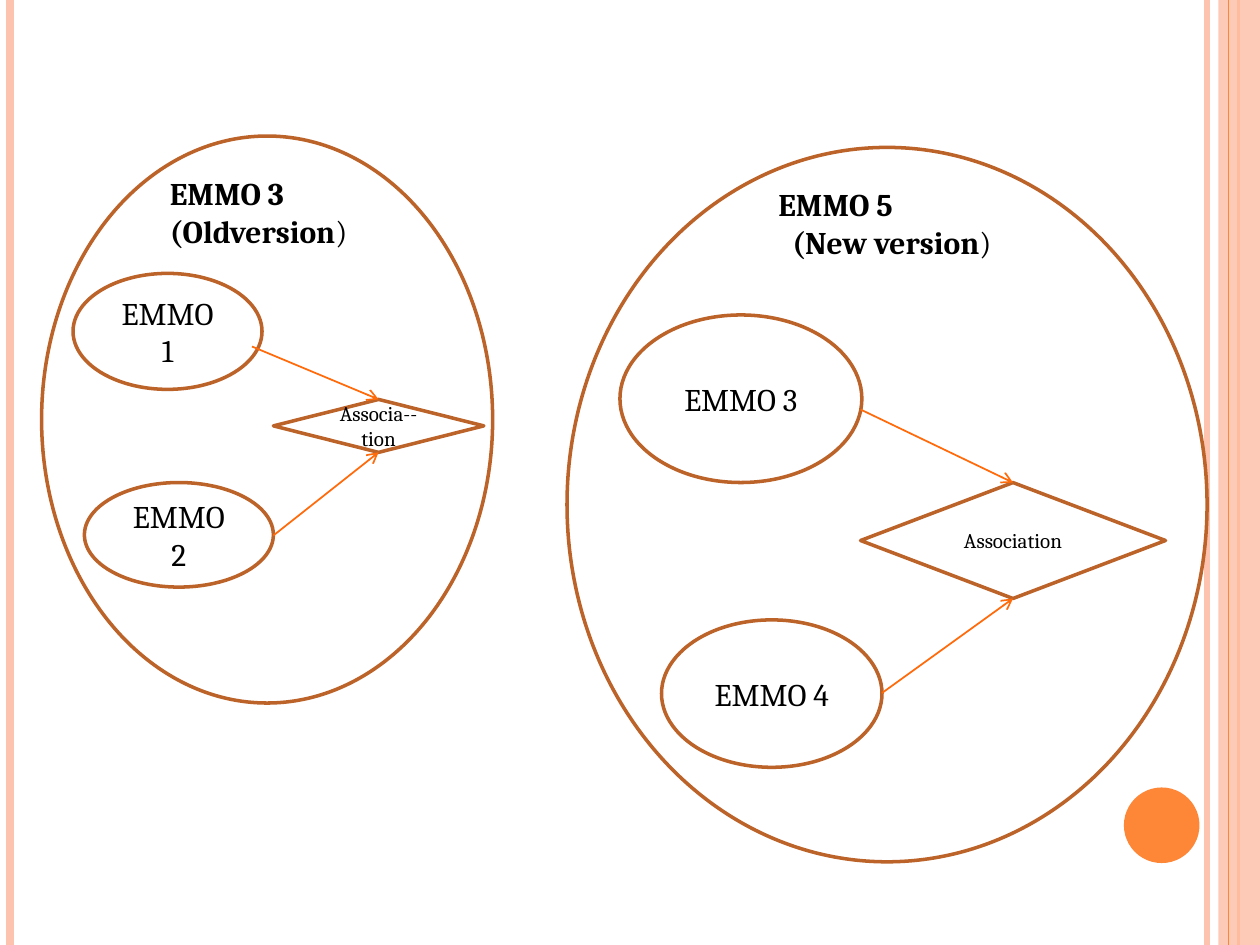
from lxml.etree import SubElement
from pptx import Presentation
from pptx.dml.color import RGBColor
from pptx.enum.shapes import MSO_CONNECTOR, MSO_SHAPE
from pptx.enum.text import MSO_ANCHOR, MSO_AUTO_SIZE, PP_ALIGN
from pptx.oxml.ns import qn
from pptx.util import Inches, Pt

FONT = "Cambria"
WHITE, BLACK = "FFFFFF", "000000"
PEACH, ORANGE, BROWN, ARROW = "FEC3AE", "FE8637", "BC6329", "FF6B0A"
TOP, BOTTOM = 0, 2  # connection sites of a diamond


def paint(color_format, color):
    color_format.rgb = RGBColor.from_string(color)


def set_alpha(fill_parent, percent):
    color = next(fill_parent.iter(qn("a:srgbClr")))
    SubElement(color, qn("a:alpha")).set("val", str(percent * 1000))


def add_figure(slide, kind, left, top, width, height, fill, outline=None):
    shape = slide.shapes.add_shape(
        kind, Inches(left), Inches(top), Inches(width), Inches(height))
    shape.shadow.inherit = False
    shape.fill.solid()
    paint(shape.fill.fore_color, fill)
    if outline:
        paint(shape.line.color, outline)
        shape.line.width = Pt(2)
    else:
        shape.line.fill.background()
    return shape


def add_line(slide, x1, y1, x2, y2, color, width):
    line = slide.shapes.add_connector(
        MSO_CONNECTOR.STRAIGHT, Inches(x1), Inches(y1), Inches(x2), Inches(y2))
    paint(line.line.color, color)
    line.line.width = Pt(width)
    SubElement(line._element.spPr, qn("a:effectLst"))
    return line


def format_run(span, size, bold=False):
    span.font.name = FONT
    span.font.size = Pt(size)
    span.font.bold = bold
    paint(span.font.color, BLACK)


def add_label(shape, text, size):
    frame = shape.text_frame
    frame.word_wrap = True
    frame.vertical_anchor = MSO_ANCHOR.MIDDLE
    frame.text = text
    para = frame.paragraphs[0]
    para.alignment = PP_ALIGN.CENTER
    format_run(para.runs[0], size)


def add_heading(slide, left, top, width, name, version, indent):
    box = slide.shapes.add_textbox(
        Inches(left), Inches(top), Inches(width), Inches(0.71))
    frame = box.text_frame
    frame.word_wrap = True
    frame.auto_size = MSO_AUTO_SIZE.SHAPE_TO_FIT_TEXT
    frame.text = name
    format_run(frame.paragraphs[0].runs[0], 18, bold=True)
    para = frame.add_paragraph()
    para.text = "(" + version
    format_run(para.runs[0], 18, bold=True)
    closing = para.add_run()
    closing.text = ")"
    format_run(closing, 18)
    para._p.get_or_add_pPr().set("marL", str(Inches(indent)))


def add_frame(slide, width, height):
    """Stripes on both edges and the dot of the theme."""
    add_line(slide, width - 0.42, 0, width - 0.42, height, PEACH, 3)
    add_line(slide, 0.08, 0, 0.08, height, PEACH, 4.5)
    add_line(slide, width - 0.17, 0, width - 0.17, height, ORANGE, 1.5)
    band = add_figure(slide, MSO_SHAPE.RECTANGLE,
                      width - 0.33, 0, 0.33, height, PEACH)
    set_alpha(band._element.spPr, 87)
    add_line(slide, width - 0.25, 0, width - 0.25, height, ORANGE, 0.75)
    add_figure(slide, MSO_SHAPE.OVAL, width - 1.08, 6.25, 0.6, 0.6, ORANGE)


def add_version(slide, box, heading, members, association):
    """One version: an outer oval with two members tied to an association.

    Parts are placed relative to the left and top of the box.
    """
    left, top, width, height = box
    add_figure(slide, MSO_SHAPE.OVAL, left, top, width, height, WHITE, BROWN)

    x, y, *rest = heading
    add_heading(slide, left + x, top + y, *rest)

    text, (x, y, w, h) = association
    diamond = add_figure(slide, MSO_SHAPE.DIAMOND,
                         left + x, top + y, w, h, WHITE, BROWN)
    add_label(diamond, text, 12)

    for (text, (x, y, w, h), start), site in zip(members, (TOP, BOTTOM)):
        oval = add_figure(slide, MSO_SHAPE.OVAL,
                          left + x, top + y, w, h, WHITE, BROWN)
        add_label(oval, text, 18)
        start_x, start_y = left + start[0], top + start[1]
        arrow = add_line(slide, start_x, start_y, start_x, start_y, ARROW, 1)
        arrow.end_connect(diamond, site)
        SubElement(arrow.line._get_or_add_ln(), qn("a:tailEnd")).set("type", "arrow")


def main():
    deck = Presentation()
    deck.slide_width, deck.slide_height = Inches(10), Inches(7.5)
    slide = deck.slides.add_slide(deck.slide_layouts[6])
    add_frame(slide, 10, 7.5)

    # Old version
    add_version(
        slide, (0.33, 1.08, 3.58, 4.5),
        heading=(0.92, 0.25, 2, "EMMO 3", "Oldversion", 0),
        members=[("EMMO 1", (0.25, 1.09, 1.5, 0.92), (1.67, 1.67)),
                 ("EMMO 2", (0.34, 2.75, 1.5, 0.83), (1.84, 3.17))],
        association=("Associa--tion", (1.84, 2.09, 1.67, 0.42)))

    # New version
    add_version(
        slide, (4.5, 1.17, 5.08, 5.67),
        heading=(1.58, 0.25, 2.33, "EMMO 5", "New version", 0.11),
        members=[("EMMO 3", (0.42, 1.33, 1.92, 1.33), (2.33, 2.08)),
                 ("EMMO 4", (0.75, 3.75, 1.75, 1.17), (2.5, 4.33))],
        association=("Association", (2.33, 2.66, 2.42, 0.92)))

    deck.save("out.pptx")


if __name__ == "__main__":
    main()
